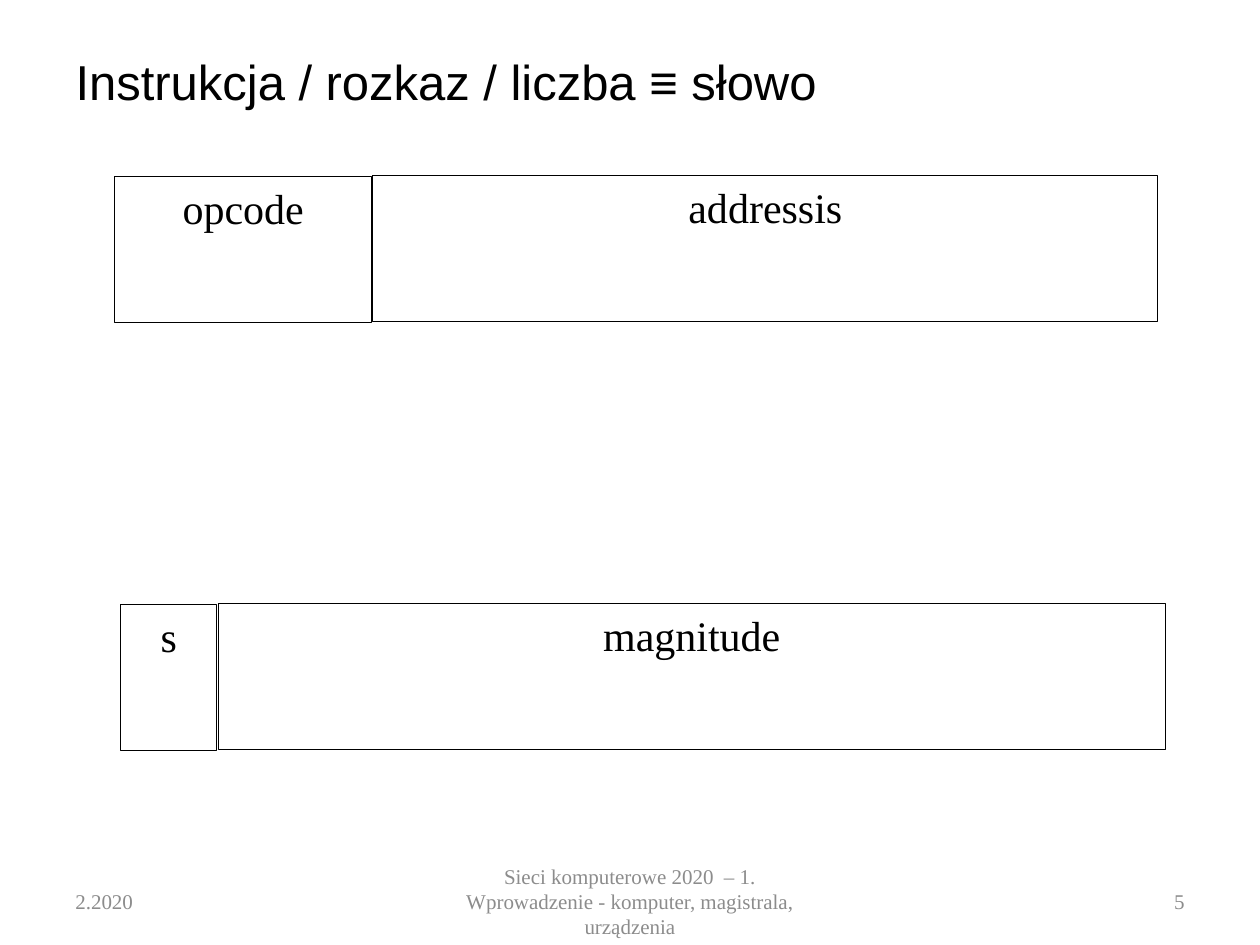
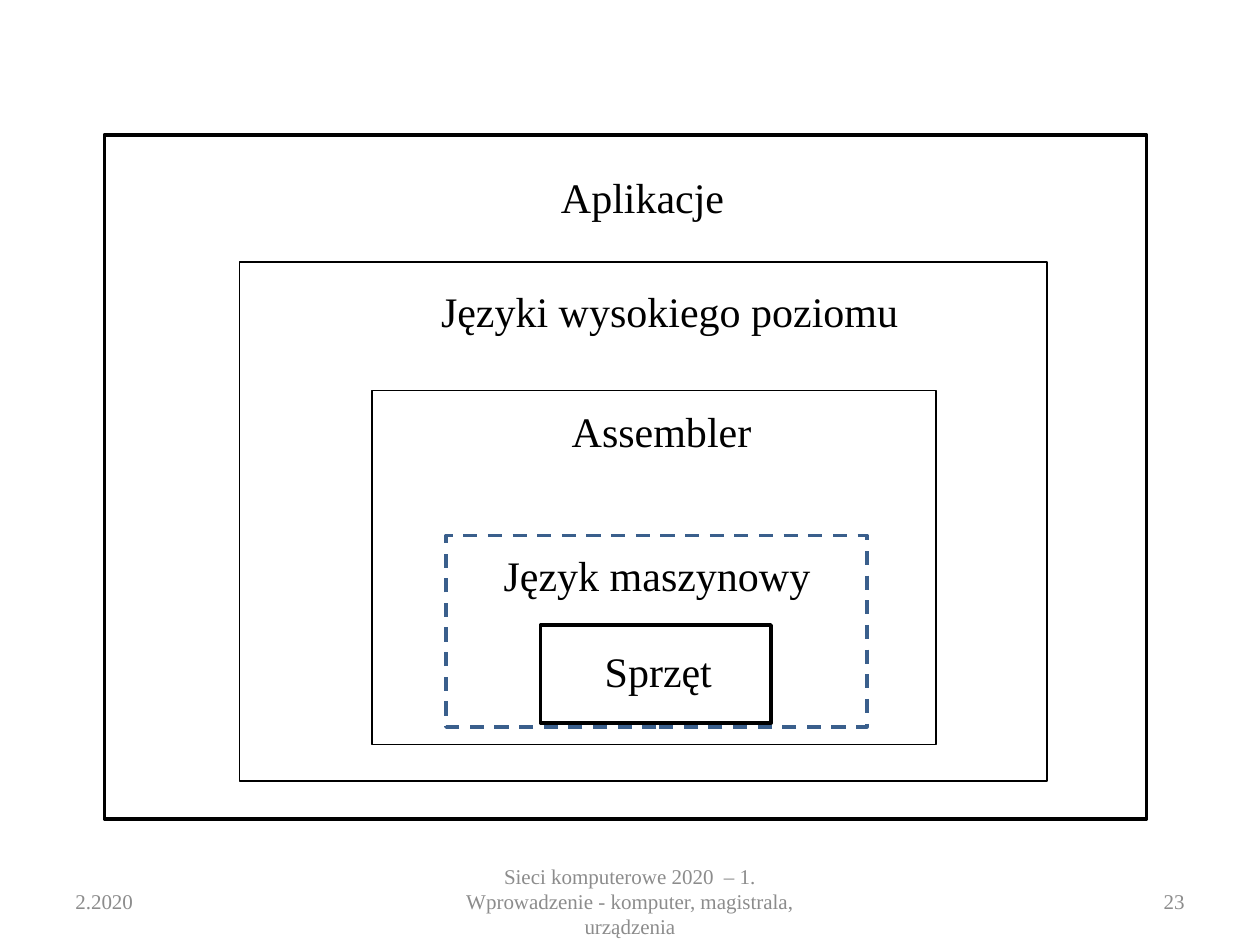
from pptx import Presentation
from pptx.dml.color import RGBColor
from pptx.enum.dml import MSO_LINE
from pptx.enum.shapes import MSO_SHAPE
from pptx.enum.text import MSO_ANCHOR, PP_ALIGN
from pptx.util import Inches, Pt

COLORS = {"paper": "FFFFFF", "ink": "000000", "footer": "8C8C8C", "dash": "3A5F8C"}
SERIF, SANS = "Times New Roman", "Arial"
WIDTH, HEIGHT = 10, 7.5
MARGIN = 0.05 * WIDTH

TITLE = "Instrukcja / rozkaz / liczba ≡ słowo"
DATE = "2.2020"
FOOTER = "Sieci komputerowe 2020  – 1. Wprowadzenie - komputer, magistrala, urządzenia"
PAGES = ("5", "23")

# Each word: left, then its fields as (label, top, width)
WORD_HEIGHT, FIELD_GAP = 1.16, 0.01
WORDS = [
    (0.91, [("opcode", 1.4, 2.04), ("addressis", 1.39, 6.23)]),
    (0.96, [("s", 4.8, 0.76), ("magnitude", 4.79, 7.52)]),
]

# Each layer, back to front: frame box, frame style, label, label box
THICK = {"line": "ink", "weight": 2}
THIN = {"line": "ink", "weight": 1}
DASHED = {"line": "dash", "weight": 2, "dash": MSO_LINE.DASH}
LAYERS = [
    ((0.83, 1.07, 8.27, 5.43), THICK, "Aplikacje", (3.01, 1.31, 4.18, 0.66)),
    ((1.9, 2.08, 6.41, 4.12), THIN, "Języki wysokiego poziomu", (2.8, 2.22, 5.03, 0.5)),
    ((2.95, 3.1, 4.48, 2.81), THIN, "Assembler", (3.44, 3.17, 3.62, 0.71)),
    ((4.29, 4.96, 1.83, 0.78), THICK, "Sprzęt", (4.47, 5.07, 1.51, 0.55)),
    ((3.54, 4.25, 3.34, 1.52), DASHED, "Język maszynowy", (3.7, 4.31, 3.03, 0.5)),
]


def rgb(name):
    return RGBColor.from_string(COLORS[name])


def write(shape, text, size, color="ink", align=PP_ALIGN.CENTER,
          anchor=MSO_ANCHOR.TOP, font=SERIF):
    tf = shape.text_frame
    tf.word_wrap = True
    tf.vertical_anchor = anchor
    p = tf.paragraphs[0]
    p.alignment = align
    r = p.add_run()
    r.text = text
    for key, value in {"name": font, "size": Pt(size)}.items():
        setattr(r.font, key, value)
    r.font.color.rgb = rgb(color)


def add_rect(shapes, box, fill=None, line=None, weight=1, dash=None, text=None):
    sp = shapes.add_shape(MSO_SHAPE.RECTANGLE, *map(Inches, box))
    sp.shadow.inherit = False
    if fill:
        sp.fill.solid()
        sp.fill.fore_color.rgb = rgb(fill)
    else:
        sp.fill.background()
    if line:
        sp.line.color.rgb = rgb(line)
        sp.line.width = Pt(weight)
        if dash:
            sp.line.dash_style = dash
    else:
        sp.line.fill.background()
    if text:
        write(sp, text, 24)


def add_footer(s, page):
    side, middle = 2.33, 3.17
    parts = [
        (MARGIN, side, DATE, PP_ALIGN.LEFT),
        ((WIDTH - middle) / 2, middle, FOOTER, PP_ALIGN.CENTER),
        (WIDTH - MARGIN - side, side, page, PP_ALIGN.RIGHT),
    ]
    for left, width, text, align in parts:
        sp = s.shapes.add_textbox(*map(Inches, (left, 6.95, width, 0.4)))
        write(sp, text, 12, "footer", align, MSO_ANCHOR.MIDDLE)


def build_words(prs):
    s = prs.slides.add_slide(prs.slide_layouts[5])
    title = s.shapes.title
    title.left, title.top, title.width, title.height = map(
        Inches, (MARGIN, 0.3, WIDTH - 2 * MARGIN, 0.69))
    write(title, TITLE, 28, align=PP_ALIGN.LEFT, anchor=MSO_ANCHOR.MIDDLE, font=SANS)
    for left, fields in WORDS:
        group = s.shapes.add_group_shape()
        for label, top, width in fields:
            add_rect(group.shapes, (left, top, width, WORD_HEIGHT),
                     fill="paper", line="ink", weight=0.5, text=label)
            left += width + FIELD_GAP
    return s


def build_layers(prs):
    s = prs.slides.add_slide(prs.slide_layouts[6])
    group = s.shapes.add_group_shape()
    for frame, style, label, label_box in LAYERS:
        add_rect(group.shapes, frame, **style)
        add_rect(group.shapes, label_box, fill="paper", text=label)
    return s


def main():
    prs = Presentation()
    prs.slide_width, prs.slide_height = Inches(WIDTH), Inches(HEIGHT)
    for build, page in zip((build_words, build_layers), PAGES):
        add_footer(build(prs), page)
    prs.save("out.pptx")


if __name__ == "__main__":
    main()
